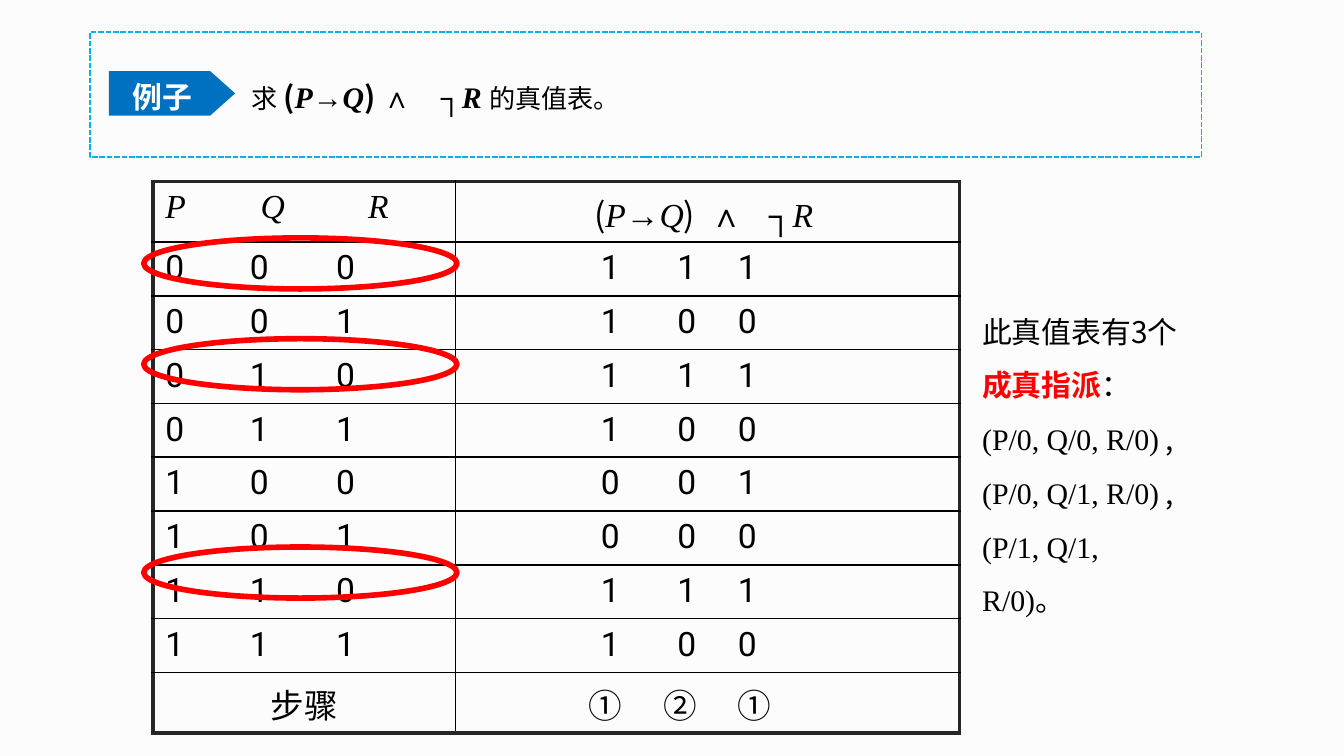
from lxml.etree import SubElement
from pptx import Presentation
from pptx.dml.color import RGBColor
from pptx.enum.dml import MSO_LINE
from pptx.enum.shapes import MSO_SHAPE
from pptx.enum.text import MSO_ANCHOR, PP_ALIGN
from pptx.oxml.ns import qn
from pptx.util import Inches, Pt

COLORS = {"paper": "FCFCFC", "text": "000000", "white": "FFFFFF", "tag": "0070C0",
          "dash": "00B0F0", "frame": "262626", "red": "FF0000"}
SERIF, SANS, DIGIT = "Times New Roman", "Noto Sans CJK SC", "Roboto"


def rgb(name):
    return RGBColor.from_string(COLORS[name])


def add_run(p, text, size, font=SERIF, color="text", bold=False, italic=False):
    r = p.add_run()
    r.text = text
    f = r.font
    f.size, f.bold, f.italic, f.name = Pt(size), bold, italic, font
    f.color.rgb = rgb(color)
    SubElement(r._r.get_or_add_rPr(), qn("a:ea"), typeface=SANS)


def add_tabs(p, stops):
    tabs = SubElement(p._p.get_or_add_pPr(), qn("a:tabLst"))
    for x in stops:
        SubElement(tabs, qn("a:tab"), pos=str(Inches(x)), algn="l")


def add_formula(p, size, gap, bold=False):
    for text, font, italic in [("(", SANS, False), ("P", SERIF, True), ("→", SERIF, False),
                               ("Q", SERIF, True), (")" + gap, SANS, False),
                               ("∧\t┐", SERIF, False), ("R ", SERIF, True)]:
        add_run(p, text, size, font, bold=bold, italic=italic)


def add_outline(shapes, kind, x, y, w, h, color, width):
    sp = shapes.add_shape(kind, Inches(x), Inches(y), Inches(w), Inches(h))
    sp.shadow.inherit = False
    sp.fill.background()
    sp.line.color.rgb = rgb(color)
    sp.line.width = Pt(width)
    return sp


def add_textbox(s, x, y, w, h):
    tf = s.shapes.add_textbox(Inches(x), Inches(y), Inches(w), Inches(h)).text_frame
    tf.word_wrap = True
    return tf


def add_question(s, x, y, w, h):
    tf = add_textbox(s, x + 1.12, y + 0.17, 7.08, 0.43)
    tf.margin_left = tf.margin_right = Inches(0.08)
    tf.margin_top = tf.margin_bottom = Inches(0.04)
    p = tf.paragraphs[0]
    p.alignment = PP_ALIGN.JUSTIFY
    p.line_spacing = 1.5
    add_tabs(p, [1.41])
    add_run(p, "求 ", 14)
    add_formula(p, 16, " ", bold=True)
    add_run(p, "的真值表。", 14)

    tag = s.shapes.add_shape(MSO_SHAPE.PENTAGON, Inches(x + 0.14), Inches(y + 0.29),
                             Inches(0.94), Inches(0.33))
    tag.adjustments[0] = 0.56
    tag.shadow.inherit = False
    tag.fill.solid()
    tag.fill.fore_color.rgb = rgb("tag")
    tag.line.fill.background()
    tag.text_frame.vertical_anchor = MSO_ANCHOR.MIDDLE
    p = tag.text_frame.paragraphs[0]
    p.alignment = PP_ALIGN.CENTER
    p.line_spacing = 1.2
    add_run(p, "例子 ", 16, SANS, "white", bold=True)

    box = add_outline(s.shapes, MSO_SHAPE.RECTANGLE, x, y, w, h, "dash", 1)
    box.line.dash_style = MSO_LINE.SQUARE_DOT


def set_borders(cell, outer):
    tcPr = cell._tc.get_or_add_tcPr()
    for side in "LRTB":
        color, width = ("frame", 2.25) if side in outer else ("text", 1)
        ln = SubElement(tcPr, qn("a:ln" + side), w=str(Pt(width)))
        SubElement(SubElement(ln, qn("a:solidFill")), qn("a:srgbClr"), val=COLORS[color])


def add_truth_table(s, x, y, w, h):
    inputs = ["000", "001", "010", "011", "100", "101", "110", "111"]
    results = ["111", "100", "111", "100", "001", "000", "111", "100"]
    last = len(inputs) + 1
    table = s.shapes.add_table(last + 1, 2, Inches(x), Inches(y), Inches(w), Inches(h)).table
    table.first_row = table.horz_banding = False
    table.columns[0].width, table.columns[1].width = Inches(2.25), Inches(w - 2.25)
    for i, row in enumerate(table.rows):
        row.height = Inches(0.45 if i in (0, last) else (h - 0.9) / len(inputs))
        for j, cell in enumerate(row.cells):
            edges = "LR"[j] + ("T" if i == 0 else "") + ("B" if i == last else "")
            set_borders(cell, edges)
            cell.fill.background()
            cell.margin_left = cell.margin_right = Inches(0.09)

    p = table.cell(0, 0).text_frame.paragraphs[0]
    add_tabs(p, [0.71, 1.51])
    add_run(p, "P\tQ\tR", 18, italic=True)
    p = table.cell(0, 1).text_frame.paragraphs[0]
    add_tabs(p, [0.94, 1.8, 2.24])
    add_run(p, "\t", 18)
    add_formula(p, 18, "\t")

    for i, (values, result) in enumerate(zip(inputs, results), 1):
        p = table.cell(i, 0).text_frame.paragraphs[0]
        add_tabs(p, [0.63, 1.27])
        add_run(p, "\t".join(values), 18, DIGIT)
        p = table.cell(i, 1).text_frame.paragraphs[0]
        add_tabs(p, [0.99, 1.56, 2.01])
        add_run(p, "\t" + "\t".join(result), 18, DIGIT)

    p = table.cell(last, 0).text_frame.paragraphs[0]
    p.alignment = PP_ALIGN.CENTER
    add_run(p, "步骤", 18, SANS)
    p = table.cell(last, 1).text_frame.paragraphs[0]
    add_tabs(p, [0.9, 1.46, 2.01])
    add_run(p, "\t①\t②\t①", 18, SANS)


def add_rings(s, x, y, w, h):
    group = s.shapes.add_group_shape()
    for dy in (0, 0.75, 2.3):
        add_outline(group.shapes, MSO_SHAPE.OVAL, x, y + dy, w, h, "red", 3)


def add_conclusion(s, x, y, w, h):
    p = add_textbox(s, x, y, w, h).paragraphs[0]
    p.line_spacing = 1.5
    add_run(p, "此真值表有3个", 16, SANS)
    add_run(p, "成真指派", 16, SANS, "red", bold=True)
    add_run(p, "：", 16, SANS)
    p.add_line_break()
    for text, end in [("(P/0, Q/0, R/0)", " , "), ("(P/0, Q/1, R/0)", " , "),
                      ("(P/1, Q/1, R/0)", "。")]:
        add_run(p, text, 16)
        add_run(p, end, 16, SANS)


def main():
    prs = Presentation()
    prs.slide_width = Inches(10)
    prs.slide_height = prs.slide_width * 9 // 16
    s = prs.slides.add_slide(prs.slide_layouts[6])
    s.background.fill.solid()
    s.background.fill.fore_color.rgb = rgb("paper")
    add_question(s, 0.67, 0.24, 8.27, 0.93)
    add_truth_table(s, 1.14, 1.35, 6, 4.02)
    add_rings(s, 1.07, 1.77, 2.33, 0.38)
    add_conclusion(s, 7.21, 2.15, 1.72, 2.48)
    prs.save("out.pptx")


if __name__ == "__main__":
    main()
